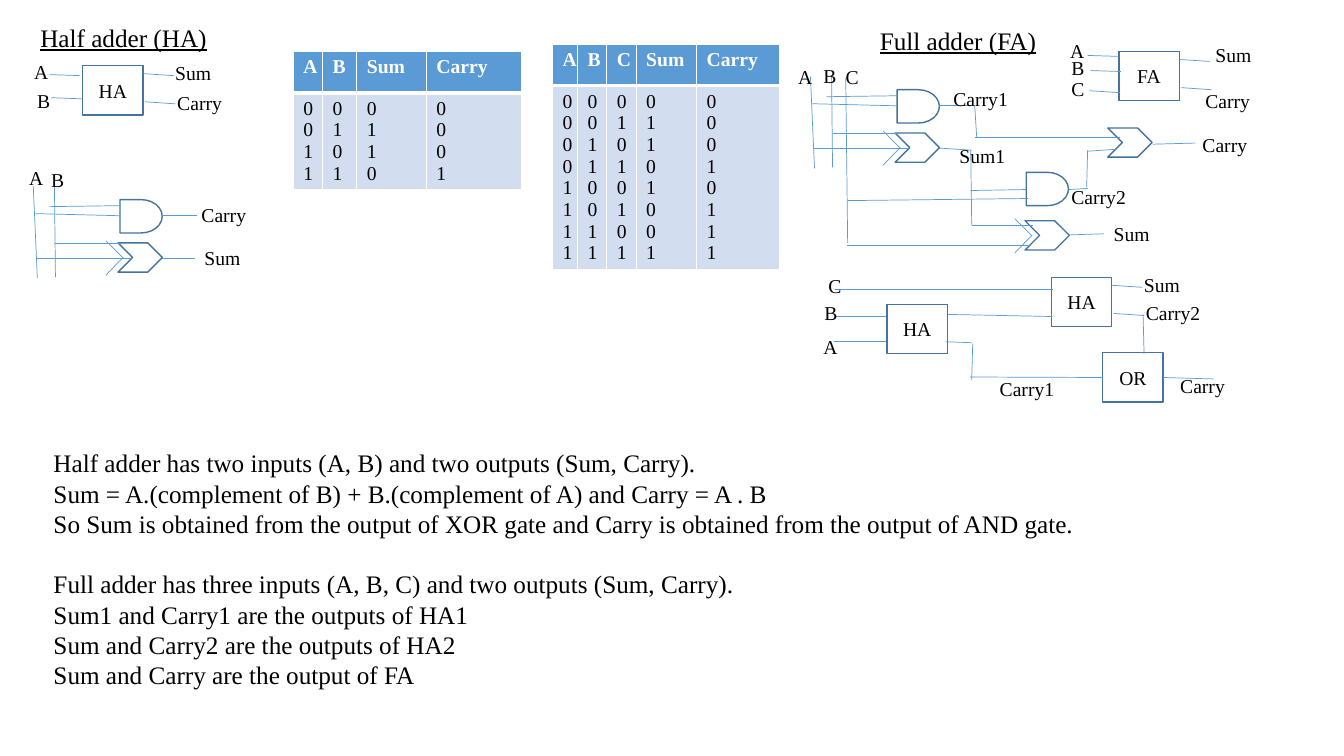
import itertools
from dataclasses import dataclass

import lxml.etree
import pptx
import pptx.dml.color
import pptx.enum.shapes
import pptx.enum.text
import pptx.oxml.ns
import pptx.util

Pt = pptx.util.Pt
qn = pptx.oxml.ns.qn
Shape = pptx.enum.shapes.MSO_SHAPE
Anchor = pptx.enum.text.MSO_ANCHOR
Align = pptx.enum.text.PP_ALIGN


@dataclass(frozen=True)
class Theme:
    font: str = "Times New Roman"
    big: float = 18
    small: float = 14
    black: str = "000000"
    white: str = "FFFFFF"
    wire: str = "5B9BD5"
    edge: str = "43739E"
    band: str = "D2DEEF"


THEME = Theme()

HALF_WIRES = [
    (35.3, 53.3, 56.9, 54), (36.7, 69.8, 58.3, 70.6), (115.9, 184.3, 139, 184.3),
]
FULL_WIRES = [
    (776.9, 39.6, 799.2, 40.3), (779, 50.4, 800.6, 51.1), (778.3, 64.8, 799.9, 66.2),
    (671, 105.8, 694.1, 107.3), (693.4, 107.3, 694.1, 160.6),
    (604.1, 55.4, 605.5, 173.5), (693.4, 136.1, 733, 135.4),
    (694.1, 161.3, 738, 161.3), (604.8, 175, 736.6, 175),
    (734.4, 141.8, 605.5, 143.3), (799.9, 97.9, 696.2, 97.9),
    (696.2, 74.9, 697.7, 98.6), (763.2, 135.4, 776.9, 134.6),
    (797.8, 106.6, 776.9, 108), (776.2, 133.9, 776.9, 107.3),
    (763.9, 167.8, 788.4, 167), (823.7, 103, 853.9, 102.2),
]
BLOCK_WIRES = [
    (596.2, 226.1, 632.9, 226.1), (595.4, 244.1, 632.9, 244.1),
    (596.2, 206.6, 752.4, 206.6), (677.5, 224.6, 751.7, 226.1),
    (816.5, 224.6, 817.2, 252.7), (675.4, 244.1, 694.1, 244.8),
    (694.8, 245.5, 694.1, 271.4),
]
LABELS = [
    ("A", 17.3, 39.6), ("B", 19.4, 59.8), ("Sum", 118.1, 40.3), ("Carry", 119.5, 61.2),
    ("A", 13.7, 115.2), ("B", 29.5, 116.6), ("Carry", 136.8, 141.1), ("Sum", 139, 172.1),
    ("A", 757.4, 24.5), ("B", 758.2, 36.7), ("C", 758.2, 51.1),
    ("Sum", 861.1, 27.4), ("Carry", 853.9, 59.8),
    ("A", 563, 42.5), ("B", 581, 41.8), ("C", 596.9, 42.5),
    ("Carry1", 673.9, 58.3), ("Sum1", 678.2, 99.4), ("Carry", 851.8, 91.4),
    ("Carry2", 758.2, 128.9), ("Sum", 788.4, 154.8),
    ("C", 584.6, 192.2), ("B", 581.8, 211.7), ("A", 581, 235.4),
    ("Sum", 810, 191.5), ("Carry2", 811.4, 211.7),
    ("Carry1", 707, 265.7), ("Carry", 835.9, 263.5),
]
NOTES = [
    [
        "Half adder has two inputs (A, B) and two outputs (Sum, Carry).",
        "Sum = A.(complement of B) + B.(complement of A) and Carry = A . B",
        "So Sum is obtained from the output of XOR gate and Carry is obtained "
        "from the output of AND gate.",
    ],
    [
        "Full adder has three inputs (A, B, C) and two outputs (Sum, Carry).",
        "Sum1 and Carry1 are the outputs of HA1",
        "Sum and Carry2 are the outputs of HA2",
        "Sum and Carry are the output of FA",
    ],
]


def tint(code):
    return pptx.dml.color.RGBColor.from_string(code)


def write(para, text, size, color=THEME.black, bold=False, under=False):
    run = para.add_run()
    run.text = text
    font = run.font
    font.name, font.size = THEME.font, Pt(size)
    font.bold, font.underline = bold, under
    font.color.rgb = tint(color)


def place(shape, x, y, w, h):
    shape.left, shape.top, shape.width, shape.height = Pt(x), Pt(y), Pt(w), Pt(h)


def label(slide, text, x, y):
    box = slide.shapes.add_textbox(Pt(x), Pt(y), Pt(24 + 6 * len(text)), Pt(24.5))
    box.text_frame.word_wrap = True
    write(box.text_frame.paragraphs[0], text, THEME.small)


def head(shape, text, x, y):
    place(shape, x, y, 139, 28.8)
    frame = shape.text_frame
    frame.word_wrap = True
    frame.auto_size = pptx.enum.text.MSO_AUTO_SIZE.NONE
    frame.vertical_anchor = Anchor.TOP
    frame.paragraphs[0].alignment = Align.LEFT
    write(frame.paragraphs[0], text, THEME.big, under=True)


def notes(shape):
    place(shape, 31, 316.1, 751.7, 181.4)
    frame = shape.text_frame
    frame.auto_size = pptx.enum.text.MSO_AUTO_SIZE.NONE
    for part, lines in enumerate(NOTES):
        for row, line in enumerate(lines):
            first = part == row == 0
            para = frame.paragraphs[0] if first else frame.add_paragraph()
            para.space_before = Pt(21.7 if part and row == 0 else 0)
            props = para._p.get_or_add_pPr()
            props.set("marL", "0")
            props.set("indent", "0")
            lxml.etree.SubElement(props, qn("a:buNone"))
            write(para, line, THEME.big)


def wire(slide, x1, y1, x2, y2):
    line = slide.shapes.add_connector(
        pptx.enum.shapes.MSO_CONNECTOR.STRAIGHT, Pt(x1), Pt(y1), Pt(x2), Pt(y2))
    line.line.color.rgb = tint(THEME.wire)
    line.line.width = Pt(0.5)
    lxml.etree.SubElement(line._element.spPr, qn("a:effectLst"))
    return line


def gate(slide, kind, x, y, w, h):
    shape = slide.shapes.add_shape(kind, Pt(x), Pt(y), Pt(w), Pt(h))
    shape.shadow.inherit = False
    shape.fill.background()
    shape.line.color.rgb = tint(THEME.edge)
    shape.line.width = Pt(1)
    return shape


def block(slide, name, x, y):
    box = gate(slide, Shape.RECTANGLE, x, y, 43.2, 35.3)
    frame = box.text_frame
    frame.margin_left = frame.margin_right = 0
    frame.vertical_anchor = Anchor.MIDDLE
    frame.paragraphs[0].alignment = Align.CENTER
    write(frame.paragraphs[0], name, THEME.small)
    return box


def adder(slide, name, x, y):
    """A block with its two output stubs."""
    block(slide, name, x, y)
    wire(slide, x + 43.2, y + 5.8, x + 64.8, y + 7.2)
    wire(slide, x + 44.6, y + 25.9, x + 66.2, y + 27.4)


def and_gate(slide, x, y):
    gate(slide, Shape.FLOWCHART_DELAY, x, y, 30.2, 23.8)


def or_gate(slide, x, y):
    gate(slide, Shape.CHEVRON, x, y, 31.7, 20.9)


def xor_gate(slide, x, y, shift=0):
    or_gate(slide, x, y)
    x += shift
    wire(slide, x - 8.6, y - 1.4, x + 3.6, y + 10.8)
    wire(slide, x + 3.6, y + 10.4, x - 8.6, y + 23)


def stage(slide, x, y):
    """Input rails A and B feeding an AND gate and a XOR gate."""
    and_gate(slide, x + 61.9, y + 9.4)
    xor_gate(slide, x + 60.5, y + 40.3)
    for x1, y1, x2, y2 in [
        (0, 0, 2.9, 65.5), (15.1, 0, 15.8, 64.8),
        (11.5, 14.4, 61.2, 13.7), (1.4, 19.4, 61.9, 20.9), (92.2, 20.9, 116.6, 20.9),
        (15.8, 40.3, 63.4, 40.3), (2.9, 51.1, 70.6, 51.1),
    ]:
        wire(slide, x + x1, y + y1, x + x2, y + y2)


def style(cell, fill, base):
    props = cell._tc.get_or_add_tcPr()
    for side, width in zip("LRTB", (1, 1, 1, base)):
        line = lxml.etree.SubElement(props, qn("a:ln" + side), w=str(Pt(width)))
        solid = lxml.etree.SubElement(line, qn("a:solidFill"))
        lxml.etree.SubElement(solid, qn("a:srgbClr"), val=THEME.white)
    cell.fill.solid()
    cell.fill.fore_color.rgb = tint(fill)


def truth(slide, names, x, y, widths):
    """Truth table of an adder with the given input names."""
    rows = [(*bits, sum(bits) % 2, sum(bits) // 2)
            for bits in itertools.product((0, 1), repeat=len(names))]
    heights = (29.5, 7.2 + 15.4 * len(rows))
    table = slide.shapes.add_table(
        2, len(widths), Pt(x), Pt(y), Pt(sum(widths)), Pt(sum(heights))).table
    for row, height in zip(table.rows, heights):
        row.height = Pt(height)
    for col, (name, width) in enumerate(zip([*names, "Sum", "Carry"], widths)):
        table.columns[col].width = Pt(width)
        top, body = table.cell(0, col), table.cell(1, col)
        style(top, THEME.wire, 3)
        style(body, THEME.band, 1)
        write(top.text_frame.paragraphs[0], name, THEME.small, THEME.white, bold=True)
        for index, row in enumerate(rows):
            frame = body.text_frame
            para = frame.add_paragraph() if index else frame.paragraphs[0]
            write(para, str(row[col]), THEME.small)


def main():
    deck = pptx.Presentation()
    deck.slide_width, deck.slide_height = Pt(960), Pt(540)
    slide = deck.slides.add_slide(deck.slide_layouts[1])
    head(slide.shapes.title, "Half adder (HA)", 21.6, 12.2)
    head(slide.shapes.add_textbox(0, 0, 0, 0), "Full adder (FA)", 621.4, 14.4)
    notes(slide.placeholders[1])
    truth(slide, "AB", 209.5, 36.7, (20.9, 24.5, 49.7, 67.7))
    truth(slide, "ABC", 394.6, 31.7, (18, 20.9, 20.9, 43.2, 59))

    adder(slide, "HA", 59, 46.8)
    adder(slide, "FA", 799.2, 36.7)
    stage(slide, 23.8, 133.2)
    stage(slide, 578.9, 54.7)
    or_gate(slide, 791.3, 91.4)
    and_gate(slide, 733, 123.1)
    xor_gate(slide, 732.2, 157.7, 1.3)

    block(slide, "HA", 633.6, 217.4)
    adder(slide, "HA", 751, 198)
    merge = block(slide, "OR", 787.7, 252)
    wire(slide, 692.6, 269.3, 787.7, 269.6).end_connect(merge, 1)
    wire(slide, 830.9, 269.6, 866.9, 270.7).begin_connect(merge, 3)
    for ends in HALF_WIRES + FULL_WIRES + BLOCK_WIRES:
        wire(slide, *ends)
    for text, x, y in LABELS:
        label(slide, text, x, y)
    deck.save("out.pptx")


if __name__ == "__main__":
    main()
